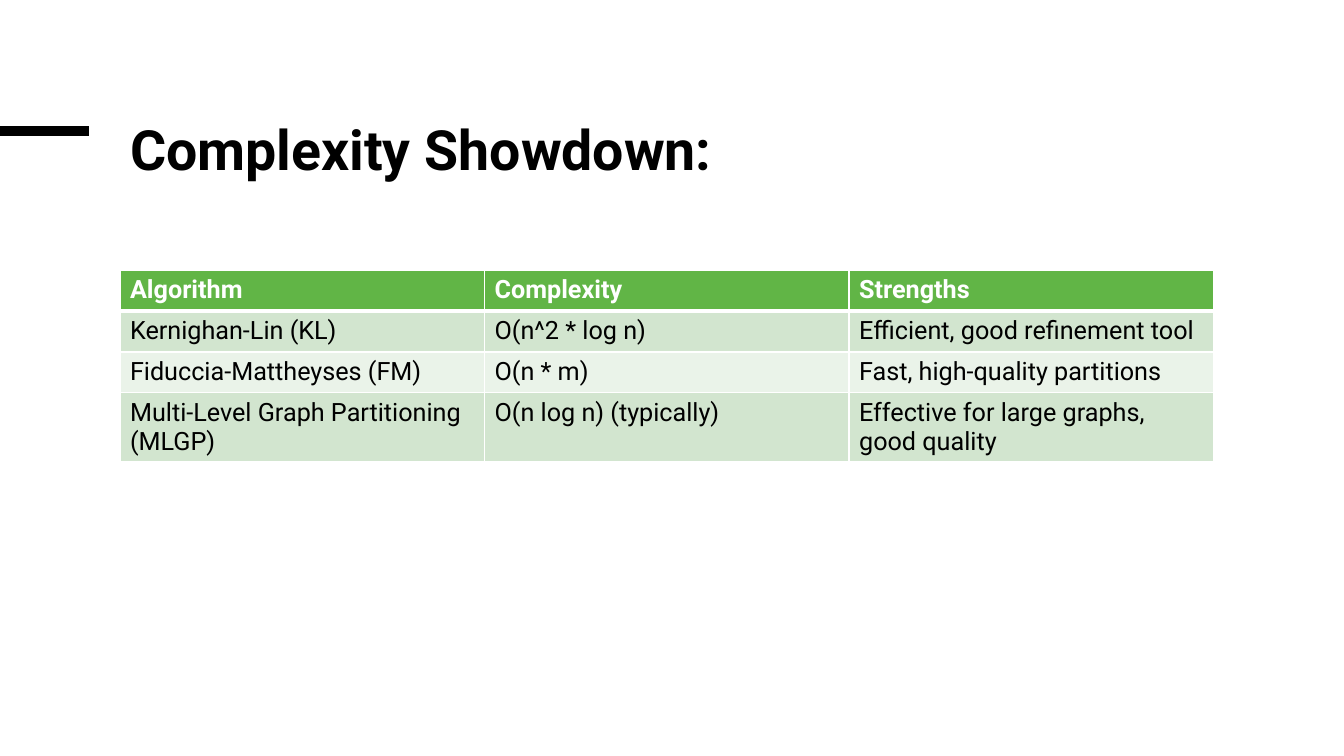
from lxml import etree
from pptx import Presentation
from pptx.dml.color import RGBColor
from pptx.enum.shapes import MSO_CONNECTOR
from pptx.enum.text import MSO_ANCHOR, MSO_AUTO_SIZE, PP_ALIGN
from pptx.oxml.ns import qn
from pptx.util import Pt

STRAIGHT = MSO_CONNECTOR.STRAIGHT
TOP = MSO_ANCHOR.TOP
LEFT = PP_ALIGN.LEFT
NO_AUTOFIT = MSO_AUTO_SIZE.NONE

BLACK = RGBColor(0x00, 0x00, 0x00)
WHITE = RGBColor(0xFF, 0xFF, 0xFF)
GREEN = RGBColor(0x61, 0xB5, 0x46)
BANDS = (RGBColor(0xD2, 0xE5, 0xCF), RGBColor(0xEA, 0xF3, 0xE9))

MARGIN = 85.7
CONTENT_WIDTH = 781.2
TITLE_ONLY = 5

ALGORITHMS = [
    ("Algorithm", "Complexity", "Strengths"),
    ("Kernighan-Lin (KL)", "O(n^2 * log n)", "Efficient, good refinement tool"),
    ("Fiduccia-Mattheyses (FM)", "O(n * m)", "Fast, high-quality partitions"),
    ("Multi-Level Graph Partitioning (MLGP)", "O(n log n) (typically)",
     "Effective for large graphs, good quality"),
]


class SlideBuilder:
    font = "Roboto"
    title_size = 39.6
    cell_size = 18
    row_height = 29.2

    def __init__(self, slide):
        self.slide = slide

    def add_run(self, paragraph, text, size, color, bold):
        run = paragraph.add_run()
        run.text = text
        run.font.name = self.font
        run.font.size = Pt(size)
        run.font.bold = bold
        run.font.color.rgb = color

    def title(self, text, left, top, width, height):
        heading = self.slide.shapes.title
        heading.left, heading.top = Pt(left), Pt(top)
        heading.width, heading.height = Pt(width), Pt(height)
        frame = heading.text_frame
        frame.word_wrap = True
        frame.auto_size = NO_AUTOFIT
        frame.vertical_anchor = TOP
        paragraph = frame.paragraphs[0]
        paragraph.alignment = LEFT
        paragraph.line_spacing = 0.85
        self.add_run(paragraph, text, self.title_size, BLACK, True)

    def rule(self, left, right, y, weight):
        accent = self.slide.shapes.add_connector(
            STRAIGHT, Pt(left), Pt(y), Pt(right), Pt(y))
        accent.line.color.rgb = BLACK
        accent.line.width = Pt(weight)
        etree.SubElement(accent._element.spPr, qn("a:effectLst"))

    def cell_borders(self, cell, color, weights):
        """Draw borders with weights in the order left, right, top, bottom."""
        properties = cell._tc.get_or_add_tcPr()
        for index, (side, weight) in enumerate(zip("LRTB", weights)):
            border = etree.Element(qn(f"a:ln{side}"), w=str(Pt(weight)))
            fill = etree.SubElement(border, qn("a:solidFill"))
            etree.SubElement(fill, qn("a:srgbClr"), val=str(color))
            properties.insert(index, border)

    def table(self, rows, left, top, width):
        columns = len(rows[0])
        grid = self.slide.shapes.add_table(
            len(rows), columns, Pt(left), Pt(top), Pt(width),
            Pt(self.row_height * len(rows))).table
        for column in grid.columns:
            column.width = Pt(width / columns)
        for r, row in enumerate(rows):
            header = r == 0
            for c, text in enumerate(row):
                cell = grid.cell(r, c)
                cell.fill.solid()
                cell.fill.fore_color.rgb = GREEN if header else BANDS[(r - 1) % 2]
                self.cell_borders(
                    cell, WHITE, (1, 1, 3 if r == 1 else 1, 3 if header else 1))
                self.add_run(cell.text_frame.paragraphs[0], text, self.cell_size,
                             WHITE if header else BLACK, header)


def main():
    deck = Presentation()
    deck.slide_width, deck.slide_height = Pt(960), Pt(540)
    builder = SlideBuilder(deck.slides.add_slide(deck.slide_layouts[TITLE_ONLY]))
    builder.rule(0, 63.4, 93.6, 6.75)
    builder.title("Complexity Showdown:", MARGIN, 85.7, CONTENT_WIDTH, 102.2)
    builder.table(ALGORITHMS, MARGIN, 193, CONTENT_WIDTH)
    deck.save("out.pptx")


if __name__ == "__main__":
    main()
